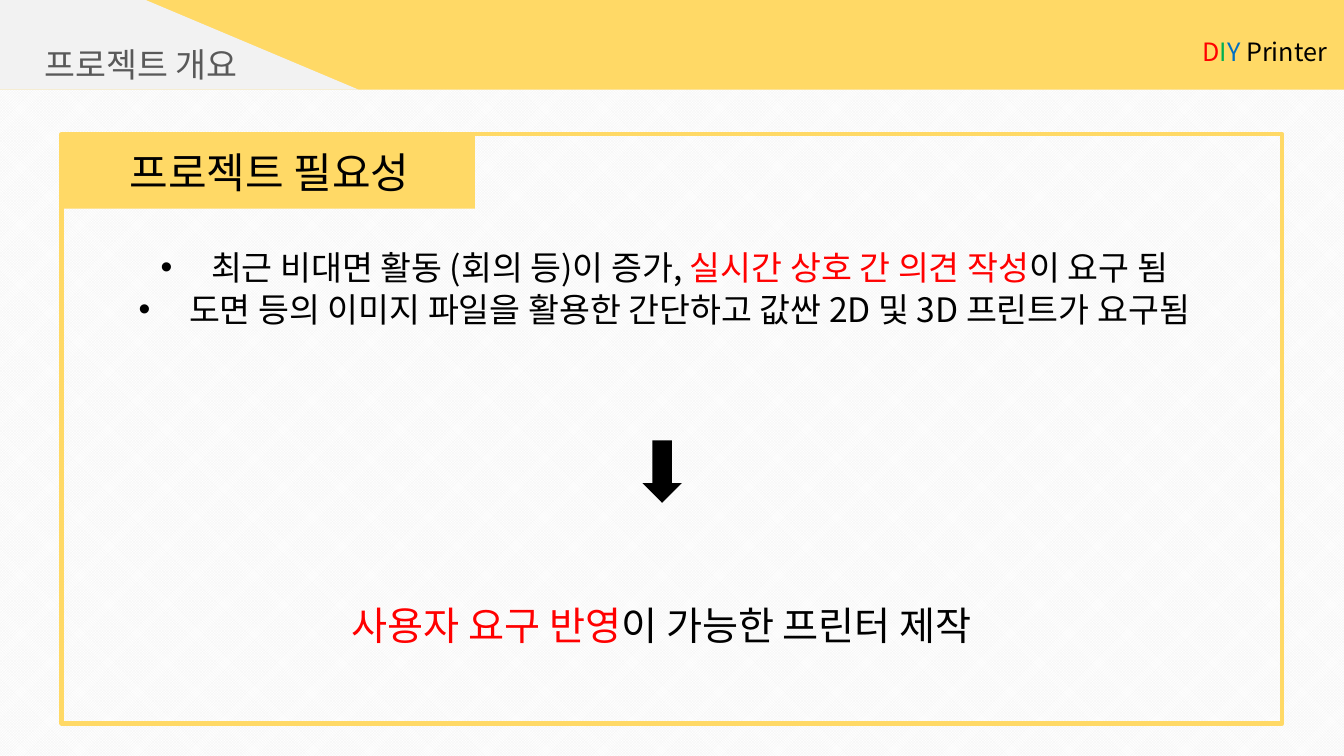
from lxml.etree import SubElement
from pptx import Presentation
from pptx.dml.color import RGBColor
from pptx.enum.dml import MSO_PATTERN_TYPE as Pattern
from pptx.enum.shapes import MSO_SHAPE as Shape
from pptx.enum.text import MSO_ANCHOR as Anchor, MSO_AUTO_SIZE as AutoSize, PP_ALIGN as Align
from pptx.oxml.ns import qn
from pptx.util import Pt

YELLOW = RGBColor(0xFF, 0xD9, 0x66)
PALE = RGBColor(0xF2, 0xF2, 0xF2)
WHITE = RGBColor(0xFF, 0xFF, 0xFF)
BLACK = RGBColor(0, 0, 0)
GRAY = RGBColor(0x59, 0x59, 0x59)
RED = RGBColor(0xFF, 0, 0)
GREEN = RGBColor(0, 0xB0, 0x50)
BLUE = RGBColor(0, 0x70, 0xC0)


class SlideBuilder:
    font_name = "Noto Sans CJK KR"

    def __init__(self, page):
        self.page = page

    def background(self, front, back):
        fill = self.page.background.fill
        fill.patterned()
        fill.pattern = Pattern.SMALL_CHECKER_BOARD
        fill.fore_color.rgb = front
        fill.back_color.rgb = back

    def paint(self, shape, color):
        shape.shadow.inherit = False
        shape.fill.solid()
        shape.fill.fore_color.rgb = color
        shape.line.fill.background()

    def block(self, kind, area, color):
        shape = self.page.shapes.add_shape(kind, *map(Pt, area))
        self.paint(shape, color)

    def frame(self, area, color, width):
        shape = self.page.shapes.add_shape(Shape.RECTANGLE, *map(Pt, area))
        shape.shadow.inherit = False
        shape.fill.background()
        shape.line.color.rgb = color
        shape.line.width = Pt(width)

    def polygon(self, points, color):
        outline = self.page.shapes.build_freeform(*points[0], scale=Pt(1))
        outline.add_line_segments(points[1:])
        self.paint(outline.convert_to_shape(), color)

    def text(self, area, paragraphs, size, align=Align.CENTER, spacing=1.0):
        box = self.page.shapes.add_textbox(*map(Pt, area))
        self.fill_text(box, paragraphs, size, align, spacing)

    def placeholder(self, box, area, paragraphs, size, spacing=1.0, bullets=False):
        box.left, box.top, box.width, box.height = map(Pt, area)
        box.element.getparent().append(box.element)
        self.fill_text(box, paragraphs, size, Align.CENTER, spacing, bullets)

    def fill_text(self, box, paragraphs, size, align, spacing, bullets=False):
        frame = box.text_frame
        frame.word_wrap = True
        frame.auto_size = AutoSize.NONE
        frame.vertical_anchor = Anchor.TOP
        for index, spans in enumerate(paragraphs):
            para = frame.add_paragraph() if index else frame.paragraphs[0]
            para.alignment = align
            para.line_spacing = spacing
            para.space_before = para.space_after = Pt(0)
            if bullets:
                self.bullet(para)
            para.font.size = Pt(size)
            para.font.name = self.font_name
            defaults = para._p.pPr.find(qn("a:defRPr"))
            SubElement(defaults, qn("a:ea"), typeface=self.font_name)
            for words, color in spans:
                span = para.add_run()
                span.text = words
                span.font.color.rgb = color

    def bullet(self, para):
        properties = para._p.get_or_add_pPr()
        properties.set("marL", str(Pt(36)))
        properties.set("indent", str(-Pt(36)))
        SubElement(properties, qn("a:buFont"), typeface="Arial")
        SubElement(properties, qn("a:buChar"), char="•")


def main():
    deck = Presentation()
    deck.slide_width, deck.slide_height = Pt(960), Pt(540)
    page = deck.slides.add_slide(deck.slide_layouts[1])
    title, body = page.placeholders
    builder = SlideBuilder(page)

    builder.background(PALE, WHITE)
    builder.block(Shape.RECTANGLE, (0, 0, 960, 64), YELLOW)
    builder.polygon([(0, 0), (104.5, 0), (255.5, 64), (0, 64)], PALE)
    builder.placeholder(title, (1.5, 27.4, 198.7, 36), [[("프로젝트 개요", GRAY)]], 24)
    builder.text((851.8, 22.3, 108, 29), [
        [("D", RED), ("I", GREEN), ("Y", BLUE), (" Printer", BLACK)],
    ], 18, Align.LEFT)

    builder.block(Shape.RECTANGLE, (44, 97, 295.2, 52), YELLOW)
    builder.frame((44, 95.8, 872, 421), YELLOW, 3)
    builder.text((36.7, 100.8, 311.8, 44), [[("프로젝트 필요성", BLACK)]], 30)
    builder.placeholder(body, (38.5, 171.7, 872, 72), [
        [("최근 비대면 활동 (회의 등)이 증가, ", BLACK),
         ("실시간 상호 간 의견 작성", RED), ("이 요구 됨", BLACK)],
        [("도면 등의 이미지 파일을 활용한 간단하고 값싼 2D 및 3D 프린트가 요구됨", BLACK)],
    ], 24, Pt(30), bullets=True)

    builder.block(Shape.DOWN_ARROW, (458.9, 314.6, 28.1, 44.6), BLACK)
    builder.text((36.7, 392.4, 872, 67), [
        [("사용자 요구 반영", RED), ("이 가능한 프린터 제작", BLACK)],
    ], 28, spacing=2.0)
    deck.save("out.pptx")


if __name__ == "__main__":
    main()
